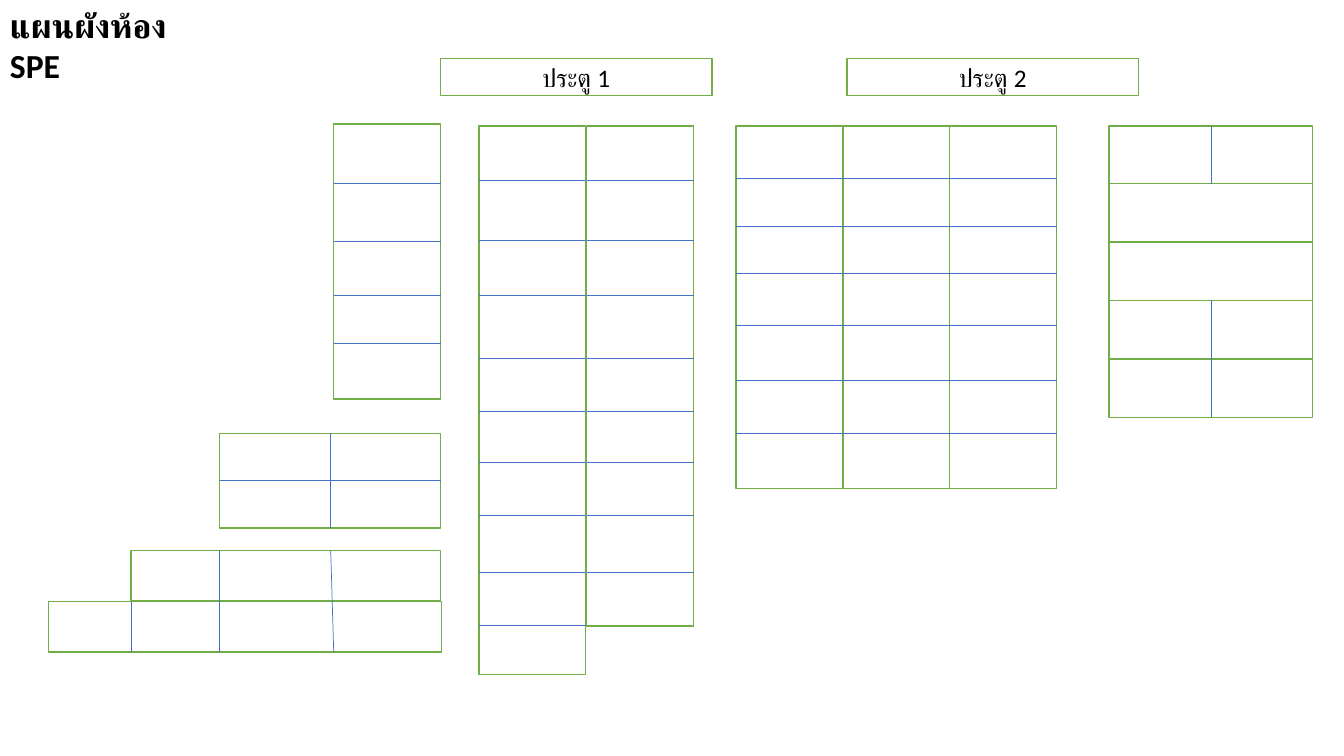
"""Draw the seating plan of the SPE room as one slide."""
from lxml import etree
from pptx import Presentation
from pptx.dml.color import RGBColor
from pptx.enum import shapes, text
from pptx.oxml import ns
from pptx.util import Inches, Pt

GREEN, BLUE, WHITE, BLACK = "70AD47", "4472C4", "FFFFFF", "000000"

presentation = Presentation()
presentation.slide_width = Inches(13.33)
presentation.slide_height = Inches(7.5)
slide = presentation.slides.add_slide(presentation.slide_layouts[6])


def paint(color_format, color):
    color_format.rgb = RGBColor.from_string(color)


def add_run(paragraph, wording, size, bold=False):
    run = paragraph.add_run()
    run.text = wording
    run.font.name = "Calibri"
    run.font.size = Pt(size)
    run.font.bold = bold
    paint(run.font.color, BLACK)


title = slide.shapes.add_textbox(0, 0, Inches(1.82), Inches(0.5))
title.text_frame.word_wrap = True
add_run(title.text_frame.paragraphs[0], "แผนผังห้อง SPE", 24, True)

doors = [(4.37, 0.58, 2.69, 0.37, "ประตู 1"), (8.4, 0.58, 2.89, 0.37, "ประตู 2")]

wall_rows = [1.82, 2.39, 2.93, 3.41]
middle_rows = [1.79, 2.38, 2.93, 3.56, 4.08, 4.59, 5.11, 5.68]
right_rows = [1.77, 2.25, 2.71, 3.23, 3.77, 4.3]
seat_columns = [
    (3.31, 1.23, 2.73, wall_rows),
    (4.75, 1.25, 5.44, middle_rows + [6.2]),
    (5.82, 1.25, 4.96, middle_rows),
]
seat_columns += [(7.3 + 1.06 * column, 1.25, 3.6, right_rows) for column in range(3)]

desk_height = 0.58
desk_tops = [1.25, 1.82, 2.4, 2.98, 3.56]
split_desk_tops = [1.25, 2.98, 3.56]

boxes = doors + [(left, top, 1.06, height, "") for left, top, height, rows in seat_columns]
boxes += [(11, top, 2.02, desk_height, "") for top in desk_tops]
boxes += [
    (2.18, 4.3, 2.19, 0.94, ""),
    (1.3, 5.46, 3.07, 0.5, ""),
    (0.48, 5.97, 3.9, 0.5, ""),
]

dividers = [
    (left, row, left + 1.06, row)
    for left, top, height, rows in seat_columns
    for row in rows
]
dividers += [(12.01, top, 12.01, top + desk_height) for top in split_desk_tops]
dividers += [
    (3.28, 4.3, 3.28, 5.24),
    (2.18, 4.77, 4.37, 4.77),
    (3.28, 5.46, 3.31, 6.47),
    (2.18, 5.46, 2.18, 6.47),
    (1.3, 5.97, 1.3, 6.47),
]

for left, top, width, height, label in boxes:
    box = slide.shapes.add_shape(
        shapes.MSO_SHAPE.RECTANGLE,
        Inches(left), Inches(top), Inches(width), Inches(height),
    )
    box.shadow.inherit = False
    box.fill.solid()
    paint(box.fill.fore_color, WHITE)
    paint(box.line.color, GREEN)
    box.line.width = Pt(1)
    if label:
        box.text_frame.vertical_anchor = text.MSO_ANCHOR.MIDDLE
        paragraph = box.text_frame.paragraphs[0]
        paragraph.alignment = text.PP_ALIGN.CENTER
        add_run(paragraph, label, 18)

for start_x, start_y, end_x, end_y in dividers:
    divider = slide.shapes.add_connector(
        shapes.MSO_CONNECTOR.STRAIGHT,
        Inches(start_x), Inches(start_y), Inches(end_x), Inches(end_y),
    )
    paint(divider.line.color, BLUE)
    divider.line.width = Pt(0.5)
    etree.SubElement(divider._element.spPr, ns.qn("a:effectLst"))

presentation.save("out.pptx")
